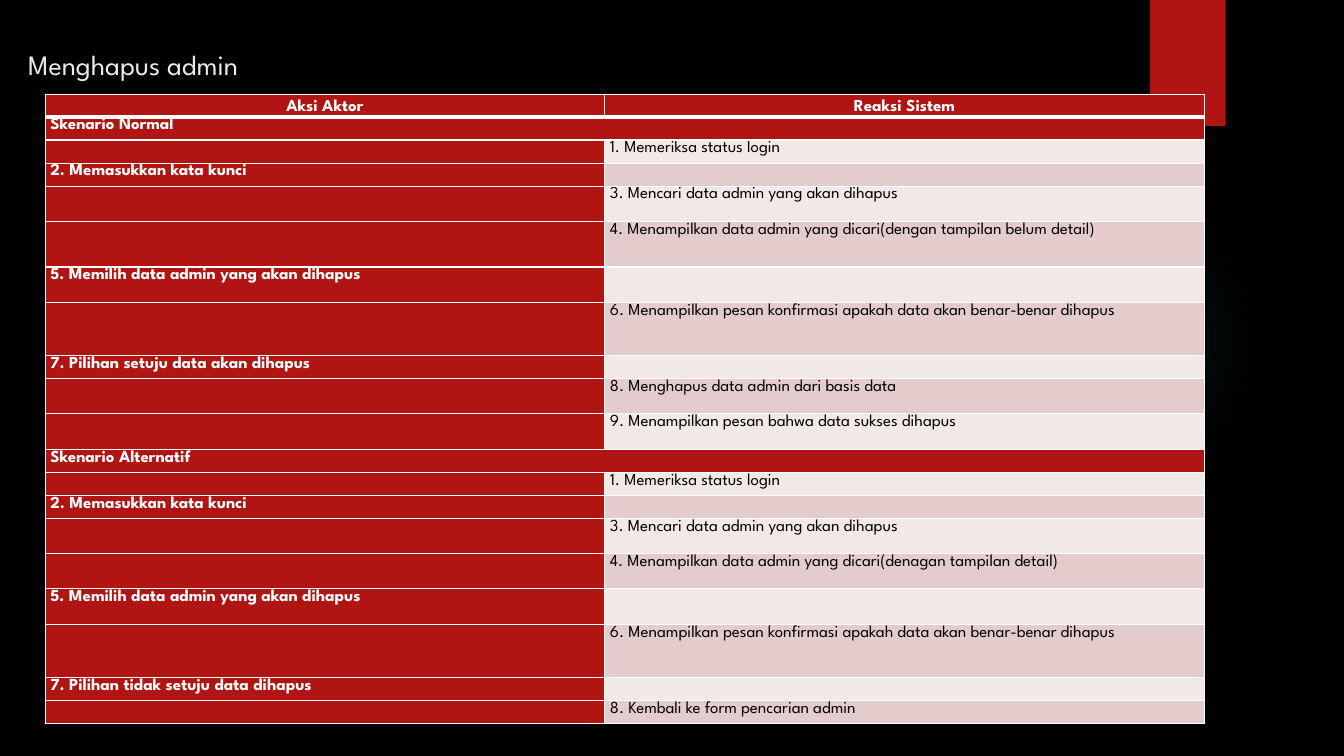
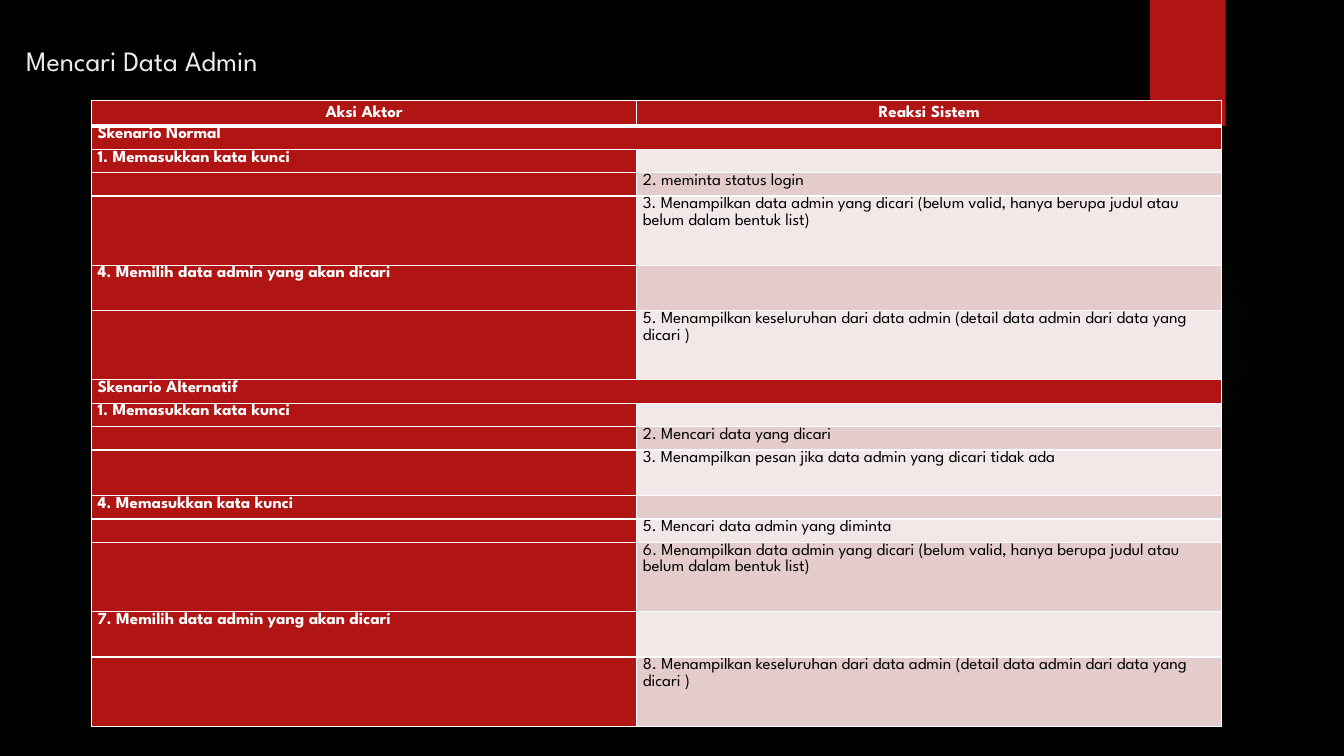
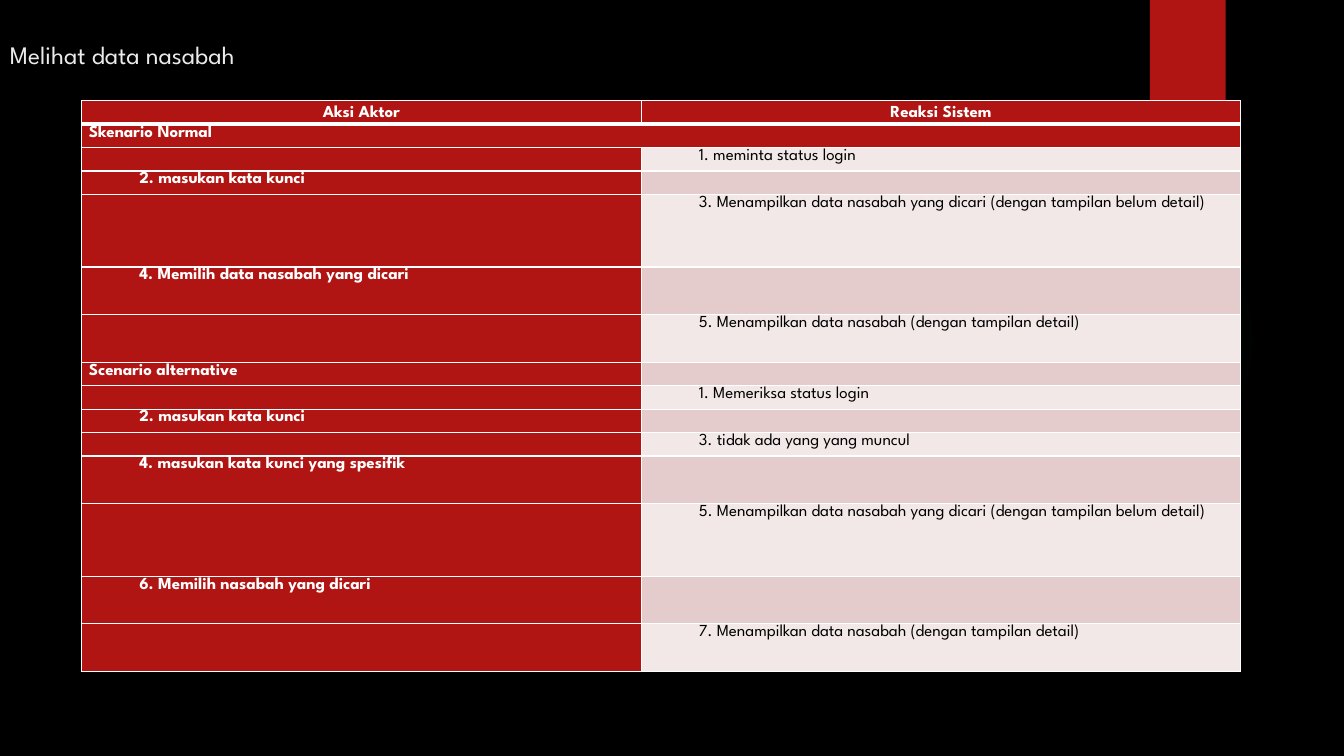
"""Build three use-case scenario slides, each with a two-column table."""
from dataclasses import dataclass

from pptx import Presentation
from pptx.dml.color import RGBColor
from pptx.enum.shapes import MSO_SHAPE as Preset
from pptx.enum.text import PP_ALIGN as Align
from pptx.oxml import parse_xml
from pptx.oxml.ns import nsdecls
from pptx.util import Cm, Pt

BLACK = RGBColor(0x00, 0x00, 0x00)
WHITE = RGBColor(0xFF, 0xFF, 0xFF)
RED = RGBColor(0xB0, 0x15, 0x13)
TITLE_GREY = RGBColor(0xEB, 0xEB, 0xEB)
GLOW_TEAL = RGBColor(0x50, 0xB9, 0xC1)
BANDS = (RGBColor(0xF2, 0xE8, 0xE7), RGBColor(0xE4, 0xCC, 0xCC))

FONT = "League Spartan"
GLOW_STOPS = ((0, 7), (36, 6), (69, 0))
HEADINGS = ("Aksi Aktor", "Reaksi Sistem")


@dataclass(frozen=True)
class Row:
    height: float
    actor: str = ""
    system: str = ""
    merged: bool = False


@dataclass(frozen=True)
class Scenario:
    title: str
    title_size: int
    title_at: tuple[float, float]
    table_at: tuple[float, float]
    columns: tuple[float, float]
    inset: float
    step_indent: float
    header_height: float
    rows: tuple[Row, ...]


SCENARIOS = (
    Scenario(
        "Menghapus admin", 20, (0.46, 1.07), (1.14, 2.39), (14.1, 15.11), 0.13, 0, 0.56,
        (
            Row(0.58, "Skenario Normal", merged=True),
            Row(0.58, system="1. Memeriksa status login"),
            Row(0.58, "2. Memasukkan kata kunci"),
            Row(0.89, system="3. Mencari data admin yang akan dihapus"),
            Row(1.15, system="4. Menampilkan data admin yang dicari(dengan tampilan belum detail)"),
            Row(0.89, "5. Memilih data admin yang akan dihapus"),
            Row(1.34, system="6. Menampilkan pesan konfirmasi apakah data akan benar-benar dihapus"),
            Row(0.58, "7. Pilihan setuju data akan dihapus"),
            Row(0.89, system="8. Menghapus data admin dari basis data"),
            Row(0.89, system="9. Menampilkan pesan bahwa data sukses dihapus"),
            Row(0.58, "Skenario Alternatif", merged=True),
            Row(0.58, system="1. Memeriksa status login"),
            Row(0.58, "2. Memasukkan kata kunci"),
            Row(0.89, system="3. Mencari data admin yang akan dihapus"),
            Row(0.89, system="4. Menampilkan data admin yang dicari(denagan tampilan detail)"),
            Row(0.89, "5. Memilih data admin yang akan dihapus"),
            Row(1.34, system="6. Menampilkan pesan konfirmasi apakah data akan benar-benar dihapus"),
            Row(0.58, "7. Pilihan tidak setuju data dihapus"),
            Row(0.58, system="8. Kembali ke form pencarian admin"),
        ),
    ),
    Scenario(
        "Mencari Data Admin", 20, (0.41, 0.97), (2.31, 2.54), (13.74, 14.73), 0.15, 0, 0.63,
        (
            Row(0.59, "Skenario Normal", merged=True),
            Row(0.59, "1. Memasukkan kata kunci"),
            Row(0.59, system="2. meminta status login"),
            Row(1.74, system="3. Menampilkan data admin yang dicari (belum valid, hanya berupa judul atau "
                             "belum dalam bentuk list)"),
            Row(1.15, "4. Memilih data admin yang akan dicari"),
            Row(1.74, system="5. Menampilkan keseluruhan dari data admin (detail data admin dari data yang "
                             "dicari )"),
            Row(0.59, "Skenario Alternatif", merged=True),
            Row(0.59, "1. Memasukkan kata kunci"),
            Row(0.59, system="2. Mencari data yang dicari"),
            Row(1.15, system="3. Menampilkan pesan jika data admin yang dicari tidak ada"),
            Row(0.59, "4. Memasukkan kata kunci"),
            Row(0.59, system="5. Mencari data admin yang diminta"),
            Row(1.74, system="6. Menampilkan data admin yang dicari (belum valid, hanya berupa judul atau "
                             "belum dalam bentuk list)"),
            Row(1.15, "7. Memilih data admin yang akan dicari"),
            Row(1.74, system="8. Menampilkan keseluruhan dari data admin (detail data admin dari data yang "
                             "dicari )"),
        ),
    ),
    Scenario(
        "Melihat data nasabah", 18, (0, 0.86), (2.06, 2.54), (14.1, 15.11), 0.18, 1.27, 0.59,
        (
            Row(0.59, "Skenario Normal", merged=True),
            Row(0.59, system="1. meminta status login"),
            Row(0.59, "2. masukan kata kunci"),
            Row(1.83, system="3. Menampilkan data nasabah yang dicari (dengan tampilan belum detail)"),
            Row(1.2, "4. Memilih data nasabah yang dicari"),
            Row(1.2, system="5. Menampilkan data nasabah (dengan tampilan detail)"),
            Row(0.59, "Scenario alternative"),
            Row(0.59, system="1. Memeriksa status login"),
            Row(0.59, "2. masukan kata kunci"),
            Row(0.59, system="3. tidak ada yang yang muncul"),
            Row(1.2, "4. masukan kata kunci yang spesifik"),
            Row(1.83, system="5. Menampilkan data nasabah yang dicari (dengan tampilan belum detail)"),
            Row(1.2, "6. Memilih nasabah yang dicari"),
            Row(1.2, system="7. Menampilkan data nasabah (dengan tampilan detail)"),
        ),
    ),
)


def style_font(paragraph, size: float, color: RGBColor, bold: bool = False) -> None:
    font = paragraph.font
    font.name, font.size, font.bold = FONT, Pt(size), bold
    font.color.rgb = color


def add_backdrop(slide) -> None:
    background = slide.background.fill
    background.solid()
    background.fore_color.rgb = BLACK

    glow = slide.shapes.add_shape(Preset.OVAL, Cm(23.9), Cm(4.65), Cm(7.82), Cm(7.82))
    stops = "".join(
        f'<a:gs pos="{position * 1000}"><a:srgbClr val="{GLOW_TEAL}">'
        f'<a:alpha val="{opacity * 1000}"/></a:srgbClr></a:gs>'
        for position, opacity in GLOW_STOPS
    )
    gradient = parse_xml(
        f'<a:gradFill {nsdecls("a")}><a:gsLst>{stops}</a:gsLst><a:path path="circle">'
        '<a:fillToRect l="50000" t="50000" r="50000" b="50000"/></a:path></a:gradFill>'
    )
    glow._element.spPr.find("{*}prstGeom").addnext(gradient)

    tab = slide.shapes.add_shape(Preset.RECTANGLE, Cm(28.98), 0, Cm(1.91), Cm(3.18))
    tab.fill.solid()
    tab.fill.fore_color.rgb = RED
    for shape in (glow, tab):
        shape.line.fill.background()
        shape.shadow.inherit = False


def add_title(slide, scenario: Scenario) -> None:
    left, top = scenario.title_at
    frame = slide.shapes.add_textbox(Cm(left), Cm(top), Cm(26.7), Cm(3)).text_frame
    frame.word_wrap = True
    paragraph = frame.paragraphs[0]
    paragraph.text = scenario.title
    style_font(paragraph, scenario.title_size, TITLE_GREY)


def style_cell(cell, fill: RGBColor, inset: float, top: int = 1, bottom: int = 1) -> None:
    cell.margin_left = cell.margin_right = Cm(inset)
    cell.margin_top = cell.margin_bottom = 0
    properties = cell._tc.get_or_add_tcPr()
    for side, width in (("L", 1), ("R", 1), ("T", top), ("B", bottom)):
        properties.append(parse_xml(
            f'<a:ln{side} {nsdecls("a")} w="{Pt(width)}"><a:solidFill>'
            f'<a:srgbClr val="{WHITE}"/></a:solidFill></a:ln{side}>'
        ))
    cell.fill.solid()
    cell.fill.fore_color.rgb = fill


def write_cell(cell, text: str, color: RGBColor, bold: bool, indent: float = 0) -> None:
    paragraph = cell.text_frame.paragraphs[0]
    paragraph.text = text
    paragraph.line_spacing = 1.07
    style_font(paragraph, 12, color, bold)
    if indent and text[:1].isdigit():
        paragraph._p.get_or_add_pPr().set("marL", str(Cm(indent)))


def add_scenario_table(slide, scenario: Scenario) -> None:
    heights = [scenario.header_height, *(row.height for row in scenario.rows)]
    left, top = scenario.table_at
    table = slide.shapes.add_table(
        len(heights), 2, Cm(left), Cm(top), Cm(sum(scenario.columns)), Cm(sum(heights))
    ).table
    table.first_col = True
    for column, width in zip(table.columns, scenario.columns):
        column.width = Cm(width)
    for table_row, height in zip(table.rows, heights):
        table_row.height = Cm(height)

    for column, heading in enumerate(HEADINGS):
        cell = table.cell(0, column)
        style_cell(cell, RED, scenario.inset, bottom=3)
        write_cell(cell, heading, WHITE, True)
        paragraph = cell.text_frame.paragraphs[0]
        paragraph.alignment = Align.CENTER
        paragraph.line_spacing = Pt(14.7)

    for index, row in enumerate(scenario.rows, start=1):
        actor, system = table.cell(index, 0), table.cell(index, 1)
        line_above = 3 if index == 1 else 1
        style_cell(actor, RED, scenario.inset, line_above)
        style_cell(system, RED if row.merged else BANDS[index % 2], scenario.inset, line_above)
        write_cell(actor, row.actor, WHITE, True, scenario.step_indent)
        write_cell(system, row.system, BLACK, False, scenario.step_indent)
        if row.merged:
            actor.merge(system)


def main() -> None:
    presentation = Presentation()
    presentation.slide_width, presentation.slide_height = Cm(33.87), Cm(19.05)
    for scenario in SCENARIOS:
        slide = presentation.slides.add_slide(presentation.slide_layouts[6])
        add_backdrop(slide)
        add_title(slide, scenario)
        add_scenario_table(slide, scenario)
    presentation.save("out.pptx")


if __name__ == "__main__":
    main()
